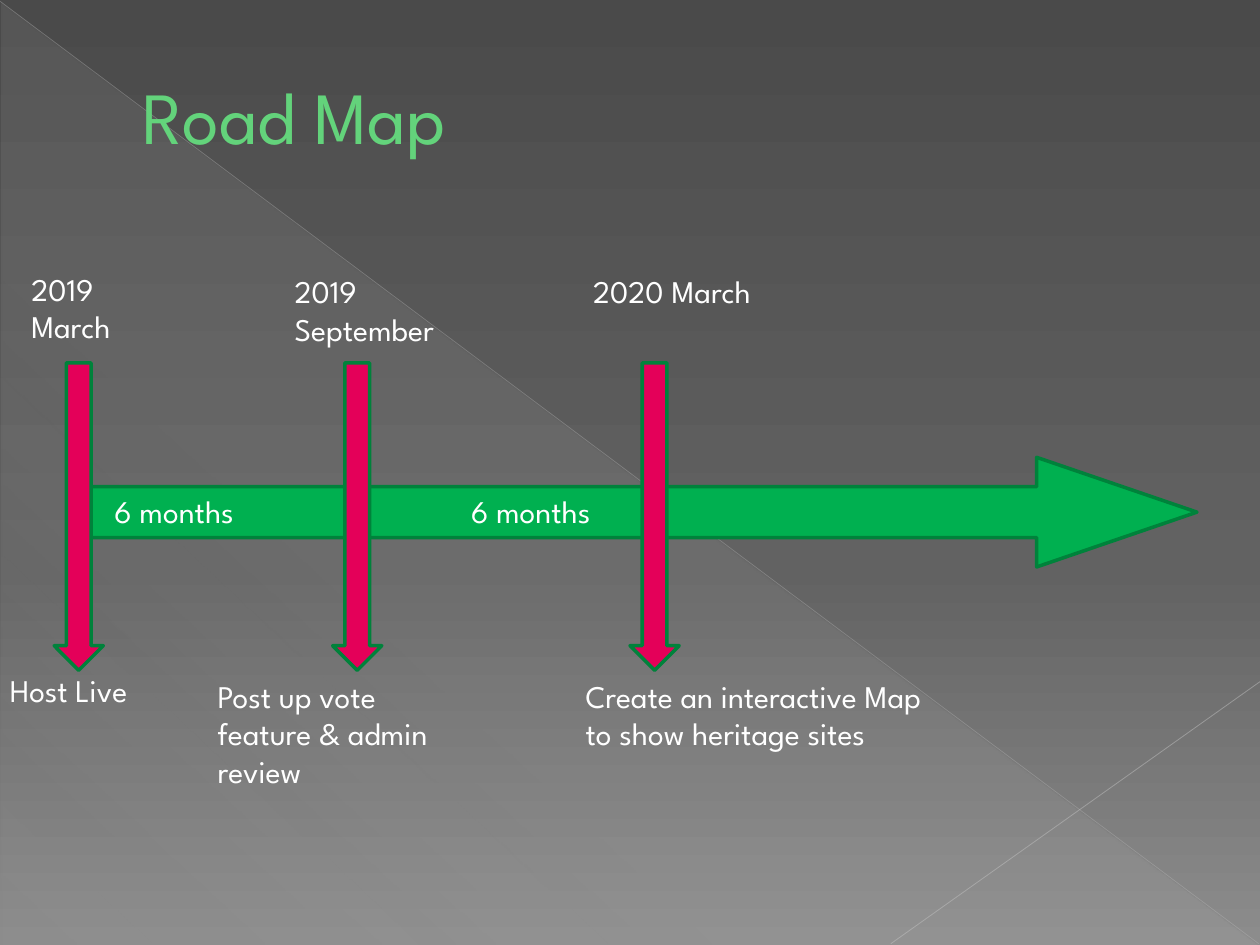
"""Build a road map slide with three milestones on a timeline arrow."""
from dataclasses import dataclass

from lxml import etree
from pptx import Presentation
from pptx.dml.color import RGBColor
from pptx.enum.shapes import MSO_CONNECTOR, MSO_SHAPE
from pptx.enum.text import MSO_ANCHOR, MSO_AUTO_SIZE
from pptx.oxml.ns import qn
from pptx.util import Inches, Pt

STRAIGHT = MSO_CONNECTOR.STRAIGHT
TRIANGLE = MSO_SHAPE.RIGHT_TRIANGLE
RIGHT_ARROW = MSO_SHAPE.RIGHT_ARROW
DOWN_ARROW = MSO_SHAPE.DOWN_ARROW
MIDDLE = MSO_ANCHOR.MIDDLE
GROW = MSO_AUTO_SIZE.SHAPE_TO_FIT_TEXT


@dataclass(frozen=True)
class Theme:
    """Colours, type sizes and gradients of the slide."""
    font: str = "League Spartan"
    title_size: int = 42
    body_size: int = 18
    title: str = "63D37B"
    body: str = "FFFFFF"
    timeline: str = "00B050"
    marker: str = "E40059"
    outline: str = "00823B"
    outline_width: float = 2
    backdrop: tuple = ((0, "4A4A4A", 100), (60, "626262", 100), (100, "8C8C8C", 100))
    sheen: tuple = ((0, "D2D2D2", 10), (70, "D2D2D2", 8), (100, "D2D2D2", 1))
    rising: str = "C6C6C6"
    falling: str = "BFBFBF"


THEME = Theme()

MILESTONES = (
    (0.43, ("2019", "March"), (0.15, 2.09, 1.04, 0.71),
     ("Host Live",), (-0.02, 5.28, 1.3, 0.4)),
    (2.64, ("2019 September",), (2.24, 2.11, 1.57, 0.71),
     ("Post up vote", "feature & admin review"), (1.63, 5.32, 2.26, 1.01)),
    (5, ("2020 March",), (4.61, 2.11, 1.57, 0.71),
     ("Create an interactive Map to show heritage sites",), (4.55, 5.32, 2.97, 1.01)),
)
SPANS = (0.81, 3.64)


def set_alpha(color, percent):
    """Give a colour element its opacity."""
    etree.SubElement(color, qn("a:alpha"), val=str(percent * 1000))


def set_gradient(fill, owner, stops, angle):
    """Fill with a linear gradient of (position, colour, opacity) stops."""
    fill.gradient()
    gradient = owner.find(".//" + qn("a:gradFill"))
    stop_list = gradient.find(qn("a:gsLst"))
    for stop in list(stop_list):
        stop_list.remove(stop)
    for position, color, opacity in stops:
        stop = etree.SubElement(stop_list, qn("a:gs"), pos=str(position * 1000))
        set_alpha(etree.SubElement(stop, qn("a:srgbClr"), val=color), opacity)
    gradient.find(qn("a:lin")).set("ang", str(angle * 60000))


def add_line(page, start, end, color, width, opacity):
    """Draw a thin translucent line without a shadow."""
    line = page.shapes.add_connector(STRAIGHT, *map(Inches, start + end))
    line.line.color.rgb = RGBColor.from_string(color)
    line.line.width = Pt(width)
    set_alpha(line.element.find(".//" + qn("a:srgbClr")), opacity)
    etree.SubElement(line.element.spPr, qn("a:effectLst"))


def add_arrow(page, kind, place, color):
    """Draw an outlined block arrow."""
    arrow = page.shapes.add_shape(kind, *map(Inches, place))
    arrow.shadow.inherit = False
    arrow.fill.solid()
    arrow.fill.fore_color.rgb = RGBColor.from_string(color)
    arrow.line.color.rgb = RGBColor.from_string(THEME.outline)
    arrow.line.width = Pt(THEME.outline_width)
    return arrow


def add_text(page, place, lines, size=THEME.body_size, color=THEME.body):
    """Add a wrapping text box with one paragraph per line."""
    box = page.shapes.add_textbox(*map(Inches, place))
    frame = box.text_frame
    frame.word_wrap = True
    frame.text = "\n".join(lines)
    for para in frame.paragraphs:
        para.font.name = THEME.font
        para.font.size = Pt(size)
        para.font.color.rgb = RGBColor.from_string(color)
    return frame


def add_label(page, place, lines):
    """Add a body text box that grows with its text."""
    add_text(page, place, lines).auto_size = GROW


def add_backdrop(page):
    """Paint the background, its pale triangle and the two diagonals."""
    set_gradient(page.background.fill, page.element, THEME.backdrop, 90)
    triangle = page.shapes.add_shape(TRIANGLE, *map(Inches, (0.01, 0.02, 9.98, 7.48)))
    triangle.shadow.inherit = False
    triangle.line.fill.background()
    set_gradient(triangle.fill, triangle.element, THEME.sheen, 133)
    add_line(page, (0, 0.01), (9.99, 7.49), THEME.falling, 0.39, 35)
    add_line(page, (10, 5.41), (7.07, 7.49), THEME.rising, 0.47, 45)


def add_title(page, text):
    """Add the indented slide title."""
    frame = add_text(page, (0.5, 0.29, 9, 1.25), (text,), THEME.title_size, THEME.title)
    frame.vertical_anchor = MIDDLE
    properties = frame.paragraphs[0]._p.get_or_add_pPr()
    properties.set("marL", str(Inches(0.53)))
    properties.set("indent", "0")


def add_timeline(page):
    """Add the long arrow, the milestones and the spans between them."""
    timeline = add_arrow(page, RIGHT_ARROW, (0.67, 3.63, 8.83, 0.87), THEME.timeline)
    timeline.adjustments[0] = 0.465
    timeline.adjustments[1] = 1.462
    for left, date, date_place, goal, goal_place in MILESTONES:
        add_arrow(page, DOWN_ARROW, (left, 2.88, 0.39, 2.44), THEME.marker)
        add_label(page, date_place, date)
        add_label(page, goal_place, goal)
    for left in SPANS:
        add_label(page, (left, 3.86, 1.54, 0.4), ("6 months",))


def main():
    """Build and save the deck."""
    deck = Presentation()
    deck.slide_width, deck.slide_height = Inches(10), Inches(7.5)
    page = deck.slides.add_slide(deck.slide_layouts[6])
    add_backdrop(page)
    add_title(page, "Road Map")
    add_timeline(page)
    deck.save("out.pptx")


if __name__ == "__main__":
    main()
